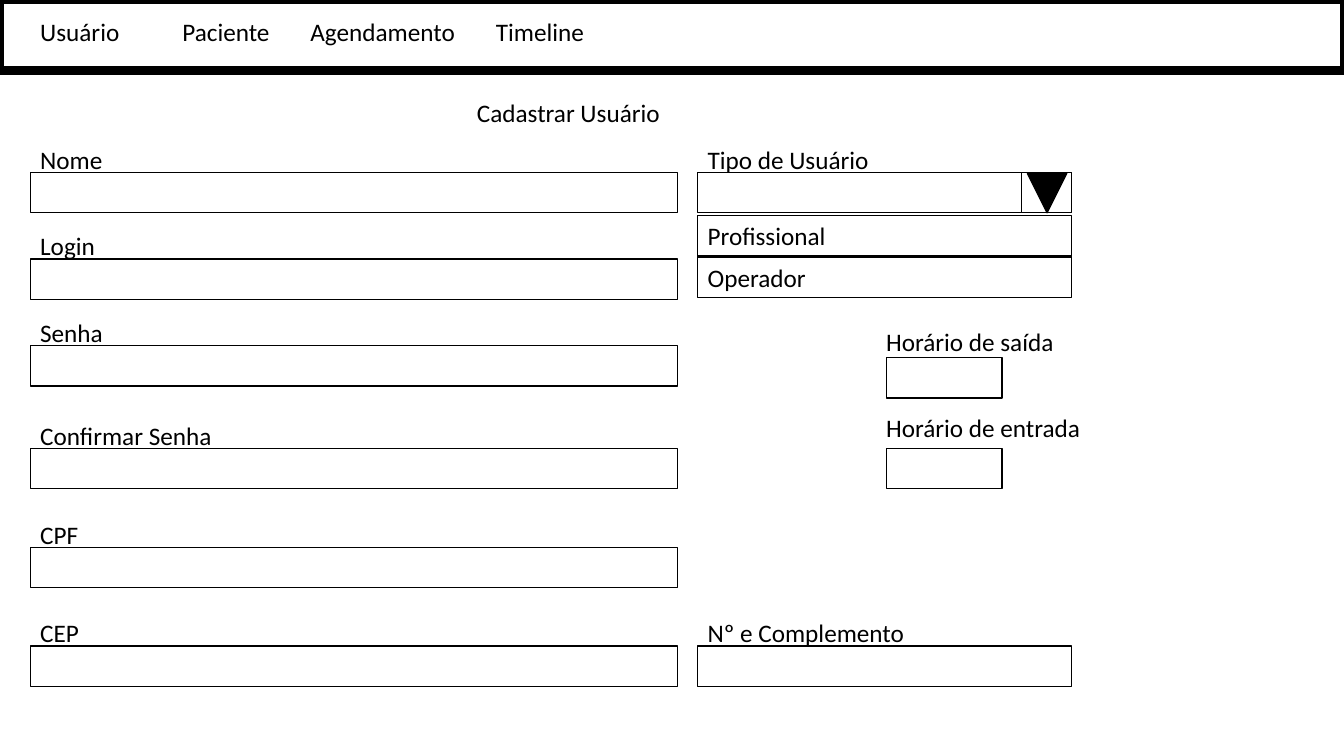
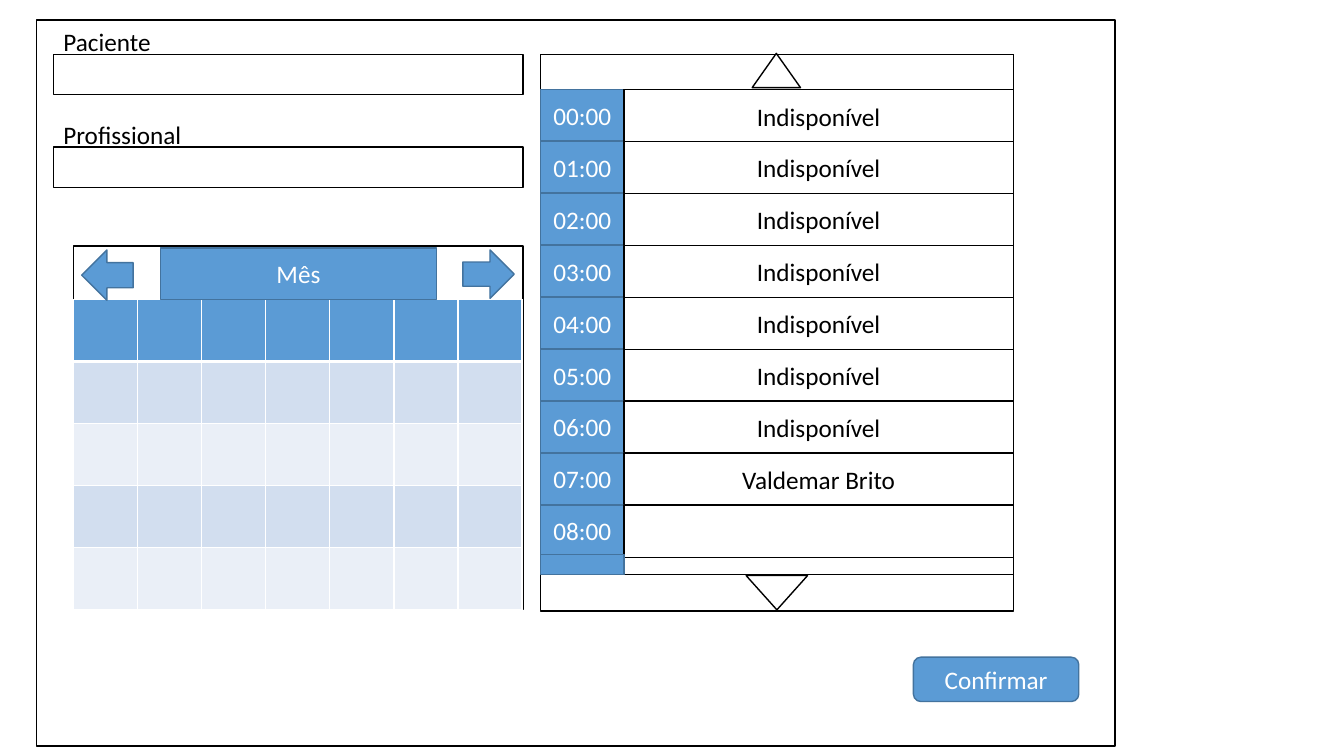
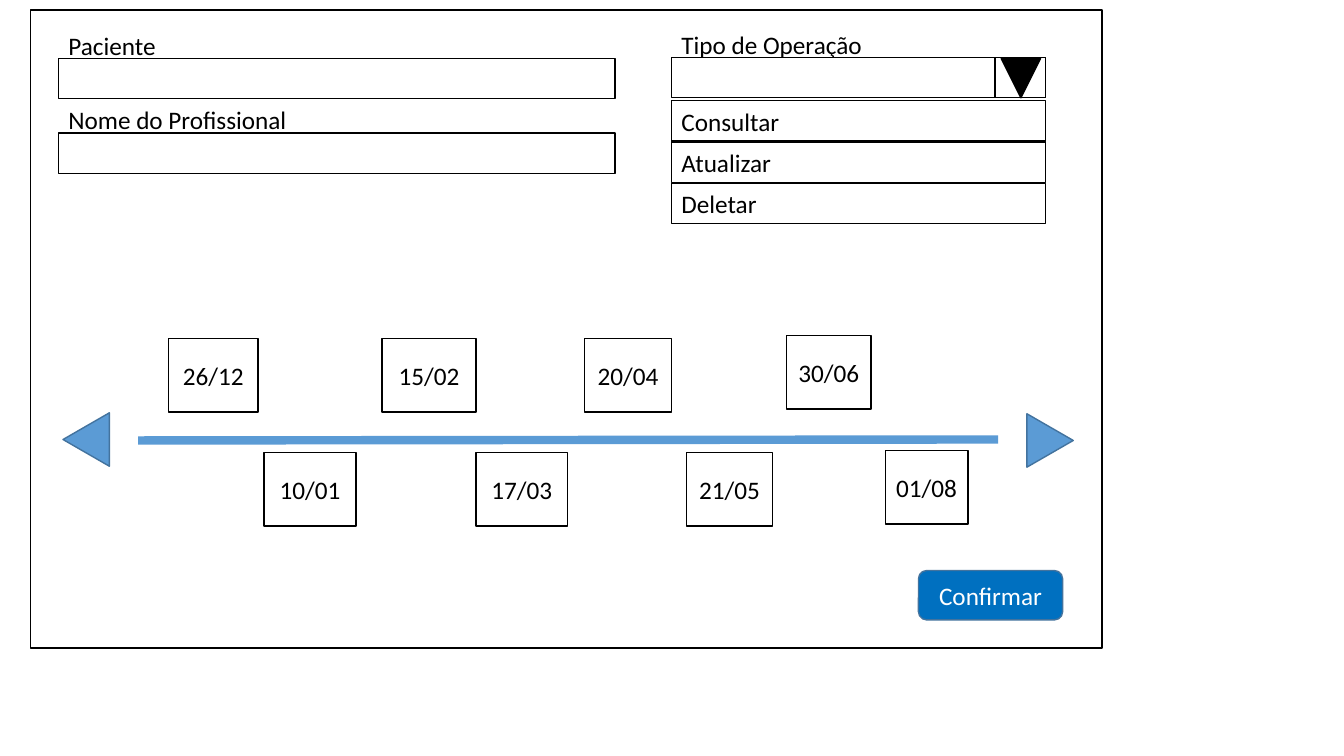
from lxml.etree import SubElement
from pptx import Presentation
from pptx.dml.color import RGBColor
from pptx.enum.shapes import MSO_CONNECTOR, MSO_SHAPE
from pptx.enum.text import MSO_ANCHOR, MSO_AUTO_SIZE, PP_ALIGN
from pptx.oxml.ns import qn
from pptx.util import Inches, Pt

BLACK = RGBColor(0x00, 0x00, 0x00)
WHITE = RGBColor(0xFF, 0xFF, 0xFF)
BLUE = RGBColor(0x5B, 0x9B, 0xD5)
BLUE_EDGE = RGBColor(0x43, 0x73, 0x9E)
STRONG_BLUE = RGBColor(0x00, 0x70, 0xC0)
BAND_DARK = RGBColor(0xD2, 0xDE, 0xEF)
BAND_LIGHT = RGBColor(0xEA, 0xEF, 0xF7)

FONT = {"name": "Calibri", "size": Pt(18), "bold": False}
LABEL_FRAME = {
    "word_wrap": False,
    "auto_size": MSO_AUTO_SIZE.NONE,
    "vertical_anchor": MSO_ANCHOR.TOP,
}
SHAPE_FRAME = {"word_wrap": True, "vertical_anchor": MSO_ANCHOR.MIDDLE}

TITLE_ONLY, BLANK = 5, 6
ROW_HEIGHT = 0.4
LABEL_RISE = 0.33
OPTION_PITCH = 0.41


def set_values(target, values):
    for name, value in values.items():
        setattr(target, name, value)


def write(box, text, frame_values, color=BLACK, align=PP_ALIGN.LEFT):
    frame = box.text_frame
    set_values(frame, frame_values)
    para = frame.paragraphs[0]
    para.alignment = align
    span = para.add_run()
    span.text = text
    set_values(span.font, FONT)
    span.font.color.rgb = color


def add_label(page, text, left, top, width):
    box = page.shapes.add_textbox(
        Inches(left), Inches(top), Inches(width), Inches(ROW_HEIGHT))
    write(box, text, LABEL_FRAME)


def add_box(page, left, top, width, height, text="", kind=MSO_SHAPE.RECTANGLE,
            fill=WHITE, edge=BLACK, color=BLACK, align=PP_ALIGN.CENTER,
            weight=1, rotation=0):
    shape = page.shapes.add_shape(
        kind, Inches(left), Inches(top), Inches(width), Inches(height))
    shape.shadow.inherit = False
    shape.rotation = rotation
    shape.fill.solid()
    shape.fill.fore_color.rgb = fill
    shape.line.color.rgb = edge
    shape.line.width = Pt(weight)
    if text:
        write(shape, text, SHAPE_FRAME, color, align)


def add_blue_box(page, *place, **options):
    add_box(page, *place, **{"fill": BLUE, "edge": BLUE_EDGE, "color": WHITE, **options})


def add_field(page, text, label_width, left, top, width):
    add_label(page, text, left, top - LABEL_RISE, label_width)
    add_box(page, left, top, width, ROW_HEIGHT)


def add_dropdown(page, text, left, top, options):
    width = 3.71
    add_field(page, text, 2.45, left, top, width)
    add_box(page, left + 3.21, top, 0.5, ROW_HEIGHT)
    add_box(page, left + 3.27, top + 0.01, 0.39, 0.39,
            kind=MSO_SHAPE.ISOSCELES_TRIANGLE, fill=BLACK, rotation=180)
    for index, option in enumerate(options):
        add_box(page, left, top + 0.43 + index * OPTION_PITCH, width, ROW_HEIGHT,
                option, align=PP_ALIGN.LEFT)


def add_confirm_button(page, left, top, width, height, fill=BLUE):
    add_blue_box(page, left, top, width, height, "Confirmar",
                 kind=MSO_SHAPE.ROUNDED_RECTANGLE, fill=fill)


def set_borders(cell, widths):
    properties = cell._tc.get_or_add_tcPr()
    for index, (side, width) in enumerate(widths.items()):
        line = properties.makeelement(qn(f"a:{side}"), {"w": str(Pt(width))})
        fill = SubElement(line, qn("a:solidFill"))
        SubElement(fill, qn("a:srgbClr"), {"val": str(WHITE)})
        properties.insert(index, line)


def add_calendar(page, left, top, width, height, rows=5, columns=7):
    table = page.shapes.add_table(
        rows, columns, Inches(left), Inches(top), Inches(width), Inches(height)).table
    for row in range(rows):
        band = BLUE if row == 0 else BAND_DARK if row % 2 else BAND_LIGHT
        widths = {"lnL": 1, "lnR": 1,
                  "lnT": 3 if row == 1 else 1, "lnB": 3 if row == 0 else 1}
        for column in range(columns):
            cell = table.cell(row, column)
            cell.fill.solid()
            cell.fill.fore_color.rgb = band
            set_borders(cell, widths)


def add_schedule(page, left, top):
    width, height, end = 4.69, 5.52, 0.36
    time_width = 0.83
    first, last = 0.89, 5.01
    statuses = ["Indisponível"] * 7 + ["Valdemar Brito", ""]
    pitch = (last - first) / (len(statuses) - 1)
    add_box(page, left, top, width, height)
    for end_top in (top + height - end, top):
        add_box(page, left, end_top, width, end)
    add_box(page, 7.46, 0.53, 0.48, 0.34, kind=MSO_SHAPE.ISOSCELES_TRIANGLE)
    add_box(page, 7.4, 5.71, 0.61, 0.34, kind=MSO_SHAPE.ISOSCELES_TRIANGLE, rotation=180)
    for hour, status in enumerate(statuses):
        row_top = first + hour * pitch
        add_blue_box(page, left, row_top, time_width, 0.51, f"{hour:02}:00")
        add_box(page, left + time_width, row_top, width - time_width, 0.52, status)
    add_blue_box(page, left, 5.5, time_width, 0.2)


def add_timeline(page, dates):
    line = page.shapes.add_connector(
        MSO_CONNECTOR.STRAIGHT, Inches(1.37), Inches(4.37), Inches(9.9), Inches(4.36))
    line.line.color.rgb = BLUE
    line.line.width = Pt(6)
    SubElement(line._element.spPr, qn("a:effectLst"))
    for left, top, rotation in ((10.15, 4.14, 90), (0.59, 4.13, 270)):
        add_blue_box(page, left, top, 0.53, 0.46,
                     kind=MSO_SHAPE.ISOSCELES_TRIANGLE, rotation=rotation)
    for text, left, top, width in dates:
        add_box(page, left, top, width, 0.73, text)


def build_user_form(deck):
    page = deck.slides.add_slide(deck.slide_layouts[TITLE_ONLY])
    add_box(page, 0, 0, 13.33, 0.7, weight=6)
    for text, left, width in (("Usuário", 0.3, 0.99), ("Paciente", 1.71, 1.08),
                              ("Agendamento", 2.98, 1.65), ("Timeline", 4.82, 1.09)):
        add_label(page, text, left, 0.11, width)
    title = page.shapes.title
    set_values(title, {"left": Inches(4.63), "top": Inches(0.92),
                       "width": Inches(2.03), "height": Inches(ROW_HEIGHT)})
    write(title, "Cadastrar Usuário", LABEL_FRAME)
    for text, label_width, top in (
            ("Nome", 0.83, 1.71), ("Login", 0.75, 2.57), ("Senha", 0.83, 3.43),
            ("Confirmar Senha", 1.92, 4.45), ("CPF", 0.58, 5.43), ("CEP", 0.59, 6.41)):
        add_field(page, text, label_width, 0.3, top, 6.42)
    add_field(page, "Nº e Complemento", 2.45, 6.92, 6.41, 3.71)
    add_dropdown(page, "Tipo de Usuário", 6.92, 1.71, ["Profissional", "Operador"])
    for text, label_top, label_width, top in (
            ("Horário de saída", 3.19, 1.88, 3.55),
            ("Horário de entrada", 4.04, 2.15, 4.45)):
        add_label(page, text, 8.69, label_top, label_width)
        add_box(page, 8.79, top, 1.15, ROW_HEIGHT)


def build_appointment_form(deck):
    page = deck.slides.add_slide(deck.slide_layouts[BLANK])
    add_box(page, 0.36, 0.2, 10.7, 7.2)
    add_box(page, 0.73, 2.44, 4.46, 3.61)
    add_field(page, "Paciente", 1.08, 0.53, 0.54, 4.66)
    add_field(page, "Profissional", 1.38, 0.53, 1.46, 4.66)
    add_schedule(page, 5.36, 0.54)
    add_confirm_button(page, 9.06, 6.52, 1.64, 0.44)
    add_calendar(page, 0.73, 2.97, 4.45, 3.08)
    add_blue_box(page, 1.59, 2.46, 2.74, 0.51, "Mês")
    for left, height, rotation in ((4.59, 0.48, 0), (0.81, 0.5, 180)):
        add_blue_box(page, left, 2.48, 0.51, height,
                     kind=MSO_SHAPE.RIGHT_ARROW, rotation=rotation)


def build_timeline_form(deck):
    page = deck.slides.add_slide(deck.slide_layouts[BLANK])
    add_box(page, 0.3, 0.1, 10.63, 6.33)
    add_timeline(page, [
        ("26/12", 1.67, 3.36, 0.89), ("10/01", 2.62, 4.49, 0.91),
        ("15/02", 3.79, 3.36, 0.93), ("17/03", 4.72, 4.49, 0.91),
        ("20/04", 5.8, 3.36, 0.86), ("21/05", 6.81, 4.49, 0.85),
        ("30/06", 7.8, 3.33, 0.84), ("01/08", 8.78, 4.47, 0.82)])
    add_dropdown(page, "Tipo de Operação", 6.66, 0.57,
                 ["Consultar", "Atualizar", "Deletar"])
    add_field(page, "Paciente", 1.08, 0.58, 0.58, 5.52)
    add_field(page, "Nome do Profissional", 2.35, 0.58, 1.32, 5.52)
    add_confirm_button(page, 9.11, 5.66, 1.43, 0.49, STRONG_BLUE)


def main():
    deck = Presentation()
    set_values(deck, {"slide_width": Inches(13.33), "slide_height": Inches(7.5)})
    for build in (build_user_form, build_appointment_form, build_timeline_form):
        build(deck)
    deck.save("out.pptx")


if __name__ == "__main__":
    main()
